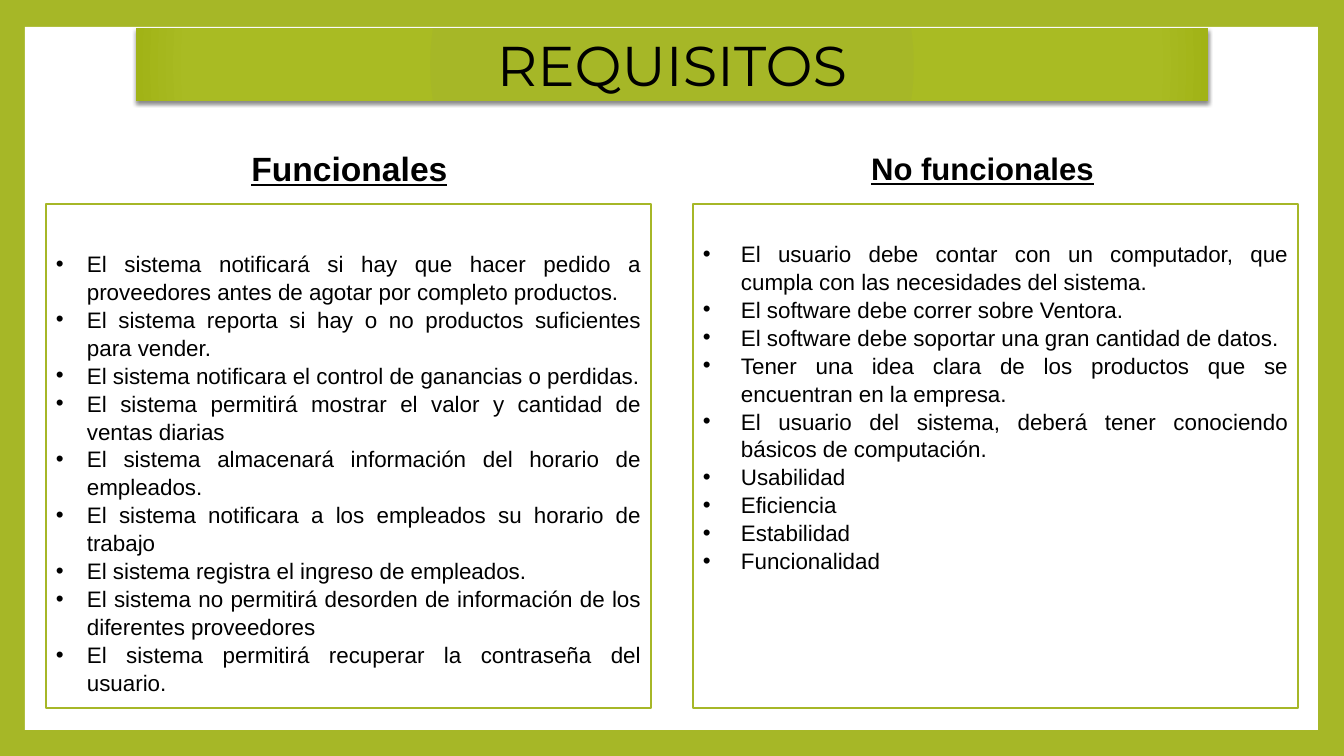
"""Builds the requirements slide with functional and non-functional lists."""
from dataclasses import dataclass

from lxml.etree import SubElement
from pptx import Presentation
from pptx.dml.color import RGBColor
from pptx.enum.shapes import MSO_SHAPE
from pptx.enum.text import MSO_ANCHOR, PP_ALIGN
from pptx.oxml import parse_xml
from pptx.oxml.ns import nsdecls, qn
from pptx.shapes.autoshape import Shape
from pptx.slide import Slide
from pptx.text.text import _Paragraph
from pptx.util import Emu, Pt


@dataclass(frozen=True)
class Theme:
    green: str = "A6B727"
    bright_green: str = "A9BB23"
    deep_green: str = "A1B316"
    white: str = "FFFFFF"
    black: str = "000000"
    title_font: str = "Montserrat"
    body_font: str = "Arial"
    title_size: float = 40
    item_size: float = 16
    border: float = 1.5
    item_spacing: float = 1.04


@dataclass(frozen=True)
class Box:
    left: int
    top: int
    width: int
    height: int


@dataclass(frozen=True)
class Column:
    heading: str
    heading_box: Box
    heading_size: float
    left: int
    top_inset: int
    indent: int
    items: tuple[str, ...]


THEME = Theme()
PAGE = Box(0, 0, 1344, 756)
PANEL = Box(25, 27, 1293, 703)
BANNER = Box(136, 28, 1072, 73)
LIST_TOP, LIST_WIDTH, LIST_HEIGHT = 204, 605, 504
COLUMNS = (
    Column("Funcionales ", Box(244, 132, 211, 72), 24, 46, 45, 31, (
        "El sistema notificará si hay que hacer pedido a proveedores antes de agotar por completo productos.",
        "El sistema reporta si hay o no productos suficientes para vender.",
        "El sistema notificara el control de ganancias o perdidas.",
        "El sistema permitirá mostrar el valor y cantidad de ventas diarias",
        "El sistema almacenará información del horario de empleados.",
        "El sistema notificara a los empleados su horario de trabajo",
        "El sistema registra el ingreso de empleados.",
        "El sistema no permitirá desorden de información de los diferentes proveedores",
        "El sistema permitirá recuperar la contraseña del usuario.",
    )),
    Column("No funcionales ", Box(865, 132, 235, 72), 22.2, 693, 35, 38, (
        "El usuario debe contar con un computador, que cumpla con las necesidades del sistema.",
        "El software debe correr sobre Ventora.",
        "El software debe soportar una gran cantidad de datos.",
        "Tener una idea clara de los productos que se encuentran en la empresa.",
        "El usuario del sistema, deberá tener conociendo básicos de computación.",
        "Usabilidad",
        "Eficiencia",
        "Estabilidad",
        "Funcionalidad",
    )),
)


def px(length: int) -> Emu:
    """Turn px into EMU."""
    return Emu(round(length * 914400 / 100.8))


def place(box: Box) -> tuple[Emu, Emu, Emu, Emu]:
    """Give the EMU position and size of a box."""
    return px(box.left), px(box.top), px(box.width), px(box.height)


def add_panel(slide: Slide, box: Box, border: str | None = None) -> Shape:
    """Add a white rectangle, bordered on request."""
    panel = slide.shapes.add_shape(MSO_SHAPE.RECTANGLE, *place(box))
    panel.shadow.inherit = False
    panel.fill.solid()
    panel.fill.fore_color.rgb = RGBColor.from_string(THEME.white)
    if border:
        panel.line.color.rgb = RGBColor.from_string(border)
        panel.line.width = Pt(THEME.border)
    else:
        panel.line.fill.background()
    return panel


def style(paragraph: _Paragraph, font_name: str, size: float, align: PP_ALIGN) -> None:
    """Align a paragraph and format its runs in black."""
    paragraph.alignment = align
    for run in paragraph.runs:
        run.font.name = font_name
        run.font.size = Pt(size)
        run.font.color.rgb = RGBColor.from_string(THEME.black)


def add_bullet(paragraph: _Paragraph, indent: int) -> None:
    """Give a paragraph a hanging bullet."""
    properties = paragraph._p.get_or_add_pPr()
    properties.set("marL", str(px(indent)))
    properties.set("indent", str(-px(indent)))
    SubElement(properties, qn("a:buFont")).set("typeface", THEME.body_font)
    SubElement(properties, qn("a:buChar")).set("char", "•")


def add_banner(slide: Slide) -> None:
    """Add the title banner with its gradient and shadow."""
    banner = add_panel(slide, BANNER)
    stops = "".join(
        f'<a:gs pos="{position}"><a:srgbClr val="{color}"/></a:gs>'
        for position, color in ((0, THEME.green), (90000, THEME.bright_green), (100000, THEME.deep_green))
    )
    gradient = parse_xml(
        f'<a:gradFill {nsdecls("a")} rotWithShape="1"><a:gsLst>{stops}</a:gsLst><a:path path="circle">'
        '<a:fillToRect l="100000" t="100000" r="100000" b="100000"/></a:path></a:gradFill>'
    )
    properties = banner._element.spPr
    properties.replace(properties.find(qn("a:solidFill")), gradient)
    properties.find(qn("a:effectLst")).append(parse_xml(
        f'<a:outerShdw {nsdecls("a")} blurRad="{Pt(3)}" dist="{Pt(2)}" dir="5400000" rotWithShape="0">'
        f'<a:srgbClr val="{THEME.black}"><a:alpha val="45000"/></a:srgbClr></a:outerShdw>'
    ))
    frame = banner.text_frame
    frame.text = "REQUISITOS"
    frame.vertical_anchor = MSO_ANCHOR.MIDDLE
    title = frame.paragraphs[0]
    title.space_before = Pt(THEME.title_size * 0.2)
    style(title, THEME.title_font, THEME.title_size, PP_ALIGN.CENTER)


def add_heading(slide: Slide, column: Column) -> None:
    """Add the underlined heading of a column."""
    frame = slide.shapes.add_textbox(*place(column.heading_box)).text_frame
    frame.word_wrap = True
    frame.vertical_anchor = MSO_ANCHOR.MIDDLE
    frame.margin_left = frame.margin_right = px(5)
    frame.margin_top = frame.margin_bottom = 0
    frame.text = column.heading
    heading = frame.paragraphs[0]
    heading.space_before = Pt(column.heading_size * 0.2)
    style(heading, THEME.body_font, column.heading_size, PP_ALIGN.CENTER)
    for run in heading.runs:
        run.font.bold = run.font.underline = True


def add_requirements(slide: Slide, column: Column) -> None:
    """Add the bordered bullet list of a column."""
    box = Box(column.left, LIST_TOP, LIST_WIDTH, LIST_HEIGHT)
    frame = add_panel(slide, box, THEME.green).text_frame
    frame.word_wrap = True
    frame.vertical_anchor = MSO_ANCHOR.TOP
    frame.margin_top = px(column.top_inset)
    frame.text = "\n".join(column.items)
    for requirement in frame.paragraphs:
        requirement.line_spacing = THEME.item_spacing
        style(requirement, THEME.body_font, THEME.item_size, PP_ALIGN.JUSTIFY)
        add_bullet(requirement, column.indent)


def main() -> None:
    """Build and save the slide."""
    deck = Presentation()
    deck.slide_width, deck.slide_height = px(PAGE.width), px(PAGE.height)
    slide = deck.slides.add_slide(deck.slide_layouts[6])
    slide.background.fill.solid()
    slide.background.fill.fore_color.rgb = RGBColor.from_string(THEME.green)
    add_panel(slide, PANEL)
    add_banner(slide)
    for column in COLUMNS:
        add_heading(slide, column)
        add_requirements(slide, column)
    deck.save("out.pptx")


if __name__ == "__main__":
    main()
